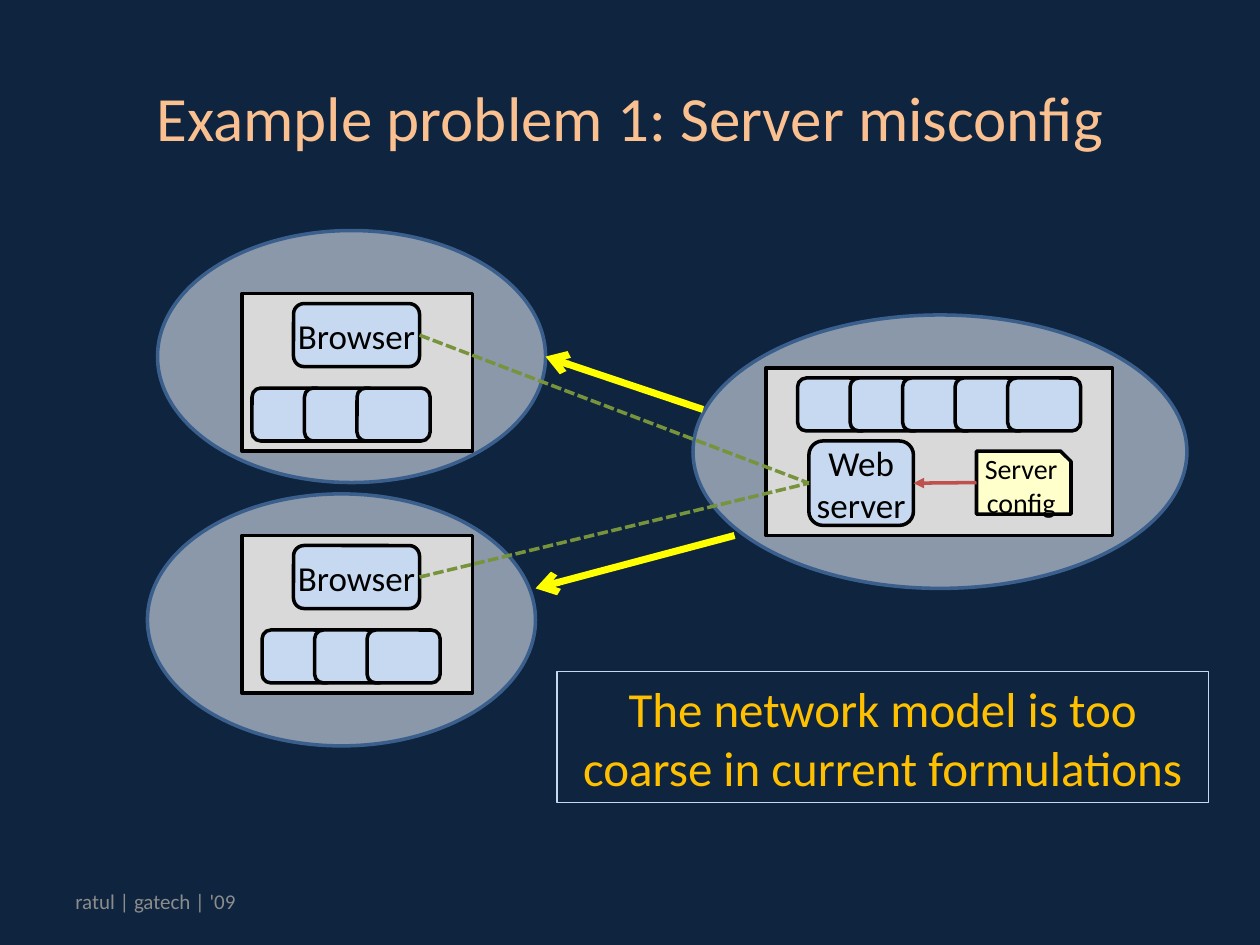
from lxml import etree
from pptx import Presentation
from pptx.dml.color import RGBColor
from pptx.enum.dml import MSO_LINE
from pptx.enum.shapes import MSO_CONNECTOR, MSO_SHAPE
from pptx.enum.text import MSO_ANCHOR, PP_ALIGN
from pptx.oxml.ns import qn
from pptx.util import Inches, Pt

RECTANGLE, ELLIPSE = MSO_SHAPE.RECTANGLE, MSO_SHAPE.OVAL
ROUNDED, NOTE = MSO_SHAPE.ROUNDED_RECTANGLE, MSO_SHAPE.SNIP_1_RECTANGLE
STRAIGHT = MSO_CONNECTOR.STRAIGHT
DASHED = MSO_LINE.SQUARE_DOT
MIDDLE = MSO_ANCHOR.MIDDLE
LEFT, CENTER = PP_ALIGN.LEFT, PP_ALIGN.CENTER
LEFT_SIDE, RIGHT_SIDE = 1, 3

FONT = "Calibri"
COLORS = {
    "background": "0F243E", "title": "FAC090", "footer": "8C8C8C",
    "cloud": "DCE6F2", "cloud_line": "3A5F8C", "machine": "D9D9D9",
    "process": "C6D9F1", "config": "FFFFCC", "black": "000000",
    "session": "77933C", "dependency": "C0504D", "traffic": "FFFF00",
    "callout": "FFC000",
}
STACK_STEP = 5 / 12  # inches between overlapping processes


def color(name):
    return RGBColor.from_string(COLORS[name])


def write(shape, text, size, font_color, align=CENTER, inset=None):
    frame = shape.text_frame
    frame.word_wrap = True
    frame.vertical_anchor = MIDDLE
    if inset is not None:
        frame.margin_left = frame.margin_right = Inches(inset)
        frame.margin_top = frame.margin_bottom = Inches(inset)
    frame.text = text
    paragraph = frame.paragraphs[0]
    paragraph.alignment = align
    font = paragraph.runs[0].font
    font.name, font.size = FONT, Pt(size)
    font.color.rgb = color(font_color)


def add_label(slide, box, text, size, font_color, align=CENTER):
    label = slide.shapes.add_textbox(*map(Inches, box))
    write(label, text, size, font_color, align)


def add_box(slide, kind, box, fill, line="black", width=2):
    shape = slide.shapes.add_shape(kind, *map(Inches, box))
    shape.shadow.inherit = False
    if fill:
        shape.fill.solid()
        shape.fill.fore_color.rgb = color(fill)
    else:
        shape.fill.background()
    shape.line.color.rgb = color(line)
    shape.line.width = Pt(width)
    return shape


def add_cloud(slide, box):
    cloud = add_box(slide, ELLIPSE, box, "cloud", "cloud_line")
    fill_color = cloud._element.spPr.find(qn("a:solidFill"))[0]
    etree.SubElement(fill_color, qn("a:alpha"), val="60000")


def add_process(slide, box, text):
    process = add_box(slide, ROUNDED, box, "process")
    write(process, text, 20, "black", inset=0)
    return process


def add_stack(slide, left, top, count):
    for index in range(count):
        box = (left + index * STACK_STEP, top, 0.58, 0.42)
        add_box(slide, ROUNDED, box, "process")


def add_line(slide, start, end, line_color, width=2, arrow=None):
    line = slide.shapes.add_connector(STRAIGHT, *map(Inches, start + end))
    line.line.color.rgb = color(line_color)
    line.line.width = Pt(width)
    properties = line._element.spPr
    if arrow:
        etree.SubElement(properties.find(qn("a:ln")), qn("a:tailEnd"), type=arrow)
    etree.SubElement(properties, qn("a:effectLst"))
    return line


def add_client(slide, left, top, machine_left, machine_top, stack_left):
    """Client network; machine offsets are from the cloud, stack from the machine."""
    add_cloud(slide, (left, top, 3.08, 2))
    x, y = left + machine_left, top + machine_top
    add_box(slide, RECTANGLE, (x, y, 1.83, 1.25), "machine")
    add_stack(slide, x + stack_left, y + 0.75, 3)
    return add_process(slide, (x + 0.41, y + 0.08, 1, 0.5), "Browser")


def add_server(slide, left, top):
    add_cloud(slide, (left, top, 3.92, 2.17))
    x, y = left + 0.58, top + 0.42
    add_box(slide, RECTANGLE, (x, y, 2.75, 1.33), "machine")
    add_stack(slide, x + 0.25, y + 0.08, 5)
    web_server = add_process(slide, (x + 0.34, y + 0.58, 0.83, 0.67), "Web server")
    config = add_box(slide, NOTE, (x + 1.67, y + 0.66, 0.75, 0.5), "config")
    write(config, "Server config", 16, "black", inset=0)
    # The web server reads its configuration
    reads = add_line(slide, (x + 1.67, y + 0.91), (x + 1.17, y + 0.91),
                     "dependency", arrow="triangle")
    reads.end_connect(web_server, RIGHT_SIDE)
    return web_server


def add_session(slide, browser, web_server):
    session = add_line(slide, (0, 0), (1, 1), "session")
    session.line.dash_style = DASHED
    session.begin_connect(browser, RIGHT_SIDE)
    session.end_connect(web_server, LEFT_SIDE)


def add_callout(slide, box):
    callout = add_box(slide, RECTANGLE, box, None, "process", 0.75)
    write(callout, "The network model is too coarse in current formulations",
          28, "callout")


def main():
    presentation = Presentation()
    presentation.slide_width, presentation.slide_height = Inches(10), Inches(7.5)
    slide = presentation.slides.add_slide(presentation.slide_layouts[6])
    slide.background.fill.solid()
    slide.background.fill.fore_color.rgb = color("background")

    # Title and footer
    add_label(slide, (0.5, 0.3, 9, 1.25), "Example problem 1: Server misconfig",
              36, "title")
    add_label(slide, (0.5, 6.95, 3.08, 0.4), "ratul | gatech | '09",
              12, "footer", LEFT)

    # Networks
    web_server = add_server(slide, 5.5, 2.5)
    browsers = [
        add_client(slide, 1.25, 1.83, 0.67, 0.5, 0.08),
        add_client(slide, 1.17, 3.92, 0.75, 0.33, 0.16),
    ]

    # Browser sessions and the traffic between networks
    for browser in browsers:
        add_session(slide, browser, web_server)
    for start, end in [((5.58, 3.25), (4.33, 2.83)), ((5.83, 4.25), (4.25, 4.67))]:
        add_line(slide, start, end, "traffic", 4, "arrow")

    add_callout(slide, (4.42, 5.33, 5.17, 1.04))
    presentation.save("out.pptx")


if __name__ == "__main__":
    main()
